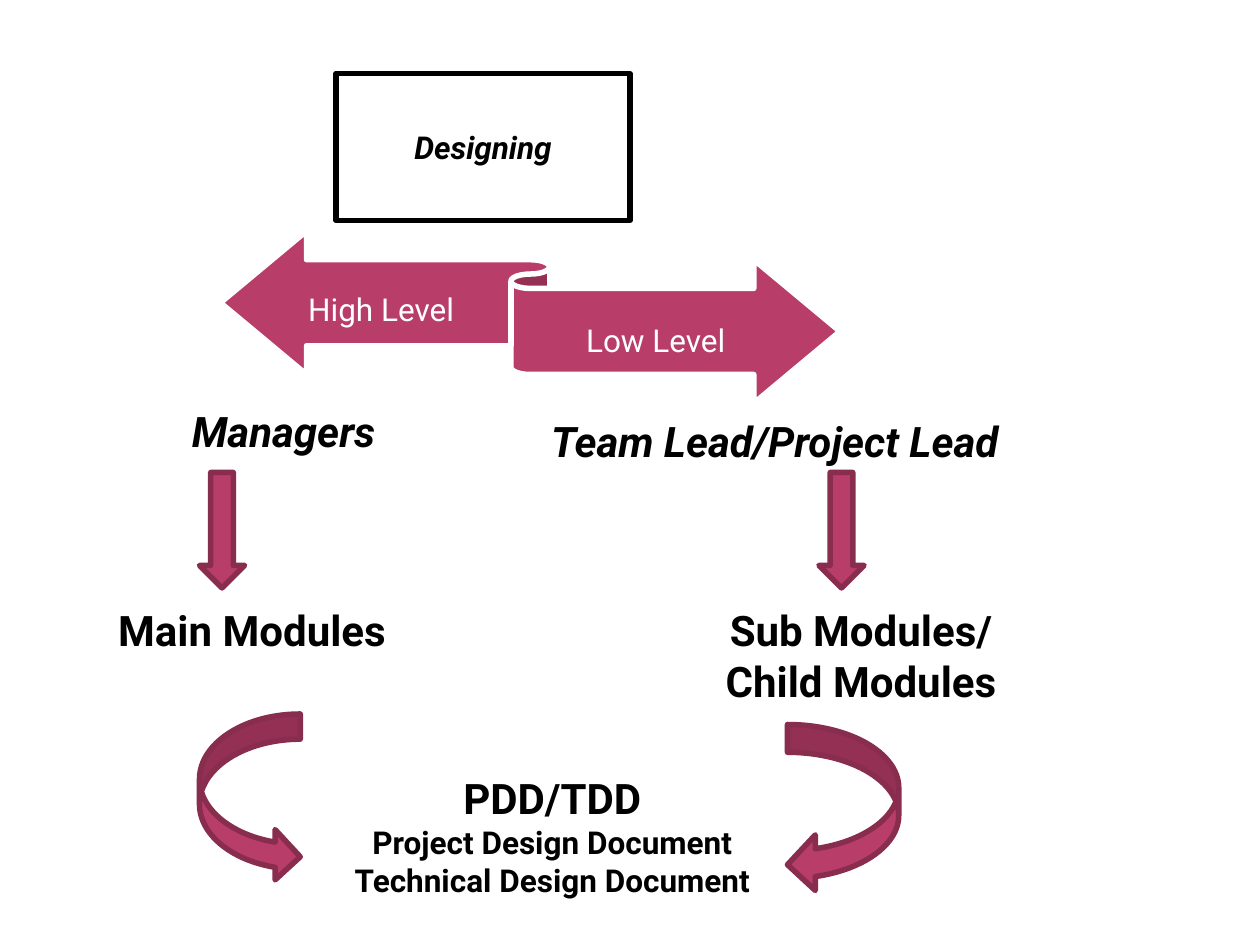
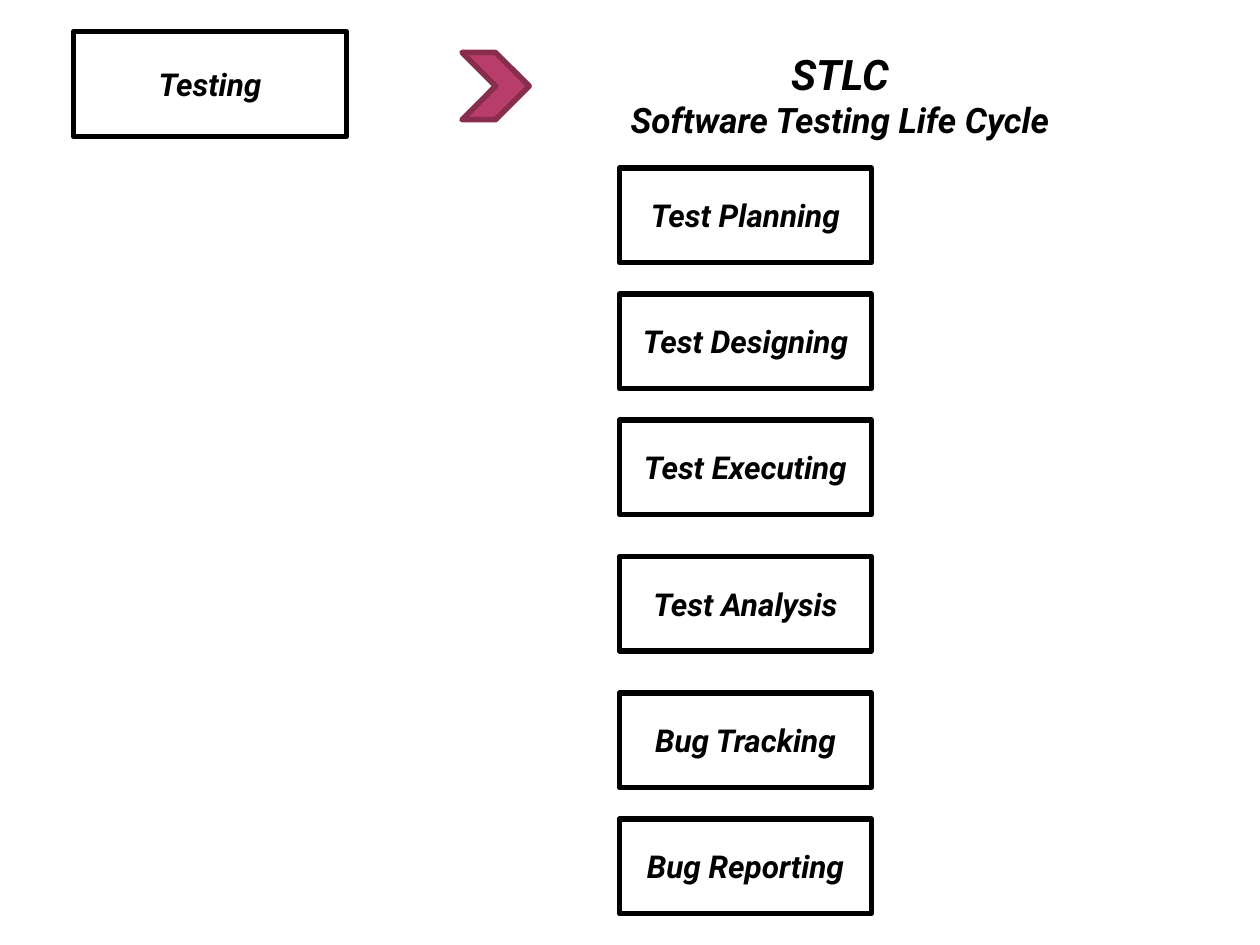
"""Builds two slides on the design and testing phases, laid out in twelfths of an inch."""
import pptx
import pptx.dml.color
import pptx.enum.shapes
import pptx.enum.text
import pptx.util

SHAPE = pptx.enum.shapes.MSO_SHAPE
COLUMNS, ROWS = 120, 90
WIDTH, HEIGHT = pptx.util.Inches(10), pptx.util.Inches(7.5)
FONT = "Roboto"
BLACK, WHITE, ROSE, DARK_ROSE = "000000", "FFFFFF", "B83D68", "882D4D"
LINE_WIDTH = 3.15

DESIGN_BOXES = [("Designing", (32, 7, 28, 14))]
DESIGN_ARROWS = [
    (SHAPE.LEFT_RIGHT_RIBBON, (21, 22, 59, 16.4), WHITE),
    (SHAPE.DOWN_ARROW, (19, 45, 4.3, 11), DARK_ROSE),
    (SHAPE.DOWN_ARROW, (78, 45, 4.3, 11), DARK_ROSE),
    (SHAPE.CURVED_LEFT_ARROW, (75, 69, 10.6, 16), DARK_ROSE),
    (SHAPE.CURVED_RIGHT_ARROW, (19, 68, 9.6, 16), DARK_ROSE),
]
DESIGN_LABELS = [
    ([("High Level", 18)], (28, 27, 16.6, 4.8), WHITE, False, False),
    ([("Low Level", 18)], (54, 30, 16.9, 4.8), WHITE, False, False),
    ([("Managers", 24)], (3, 38, 48, 6), BLACK, True, True),
    ([("Team Lead/Project Lead", 24)], (49.3, 39, 49, 6), BLACK, True, True),
    ([("Main Modules", 24)], (7, 57, 34, 6), BLACK, True, False),
    ([("Sub Modules/", 24), ("Child Modules", 24)], (66, 57, 32, 10.9), BLACK, True, False),
    ([("PDD/TDD", 24), ("Project Design Document", 18), ("Technical Design Document", 18)],
     (32, 73, 41.2, 13.3), BLACK, True, False),
]

STEPS = {"Test Planning": 16, "Test Designing": 28, "Test Executing": 40,
         "Test Analysis": 53, "Bug Tracking": 66, "Bug Reporting": 78}
TEST_BOXES = [("Testing", (7, 3, 26, 10))] + [
    (step, (59, row, 24, 9)) for step, row in STEPS.items()]
TEST_ARROWS = [(SHAPE.CHEVRON, (44, 5, 6.4, 6.4), DARK_ROSE)]
TEST_LABELS = [
    ([("STLC", 24), ("Software Testing Life Cycle", 20)], (57, 4, 46, 10), BLACK, True, True),
]


def color(hex_code):
    return pptx.dml.color.RGBColor.from_string(hex_code)


def place(area):
    left, top, width, height = area
    return (round(left * WIDTH / COLUMNS), round(top * HEIGHT / ROWS),
            round(width * WIDTH / COLUMNS), round(height * HEIGHT / ROWS))


def write(frame, lines, ink, bold, italic):
    frame.text = "\n".join(words for words, _ in lines)
    for paragraph, (_, size) in zip(frame.paragraphs, lines):
        paragraph.alignment = pptx.enum.text.PP_ALIGN.CENTER
        for run in paragraph.runs:
            run.font.name = FONT
            run.font.size = pptx.util.Pt(size)
            run.font.bold, run.font.italic = bold, italic
            run.font.color.rgb = color(ink)


def add_figure(slide, preset, area, fill, outline):
    figure = slide.shapes.add_shape(preset, *place(area))
    figure.shadow.inherit = False
    figure.fill.solid()
    figure.fill.fore_color.rgb = color(fill)
    figure.line.color.rgb = color(outline)
    figure.line.width = pptx.util.Pt(LINE_WIDTH)
    return figure


def add_label(slide, lines, area, ink, bold, italic):
    frame = slide.shapes.add_textbox(*place(area)).text_frame
    frame.word_wrap = False
    frame.auto_size = pptx.enum.text.MSO_AUTO_SIZE.SHAPE_TO_FIT_TEXT
    write(frame, lines, ink, bold, italic)


def add_phase(deck, boxes, arrows, labels):
    slide = deck.slides.add_slide(deck.slide_layouts[6])
    for title, area in boxes:
        box = add_figure(slide, SHAPE.RECTANGLE, area, WHITE, BLACK)
        box.text_frame.vertical_anchor = pptx.enum.text.MSO_ANCHOR.MIDDLE
        write(box.text_frame, [(title, 18)], BLACK, True, True)
    for preset, area, outline in arrows:
        add_figure(slide, preset, area, ROSE, outline)
    for label in labels:
        add_label(slide, *label)


def main():
    deck = pptx.Presentation()
    deck.slide_width, deck.slide_height = WIDTH, HEIGHT
    add_phase(deck, DESIGN_BOXES, DESIGN_ARROWS, DESIGN_LABELS)
    add_phase(deck, TEST_BOXES, TEST_ARROWS, TEST_LABELS)
    deck.save("out.pptx")


if __name__ == "__main__":
    main()
